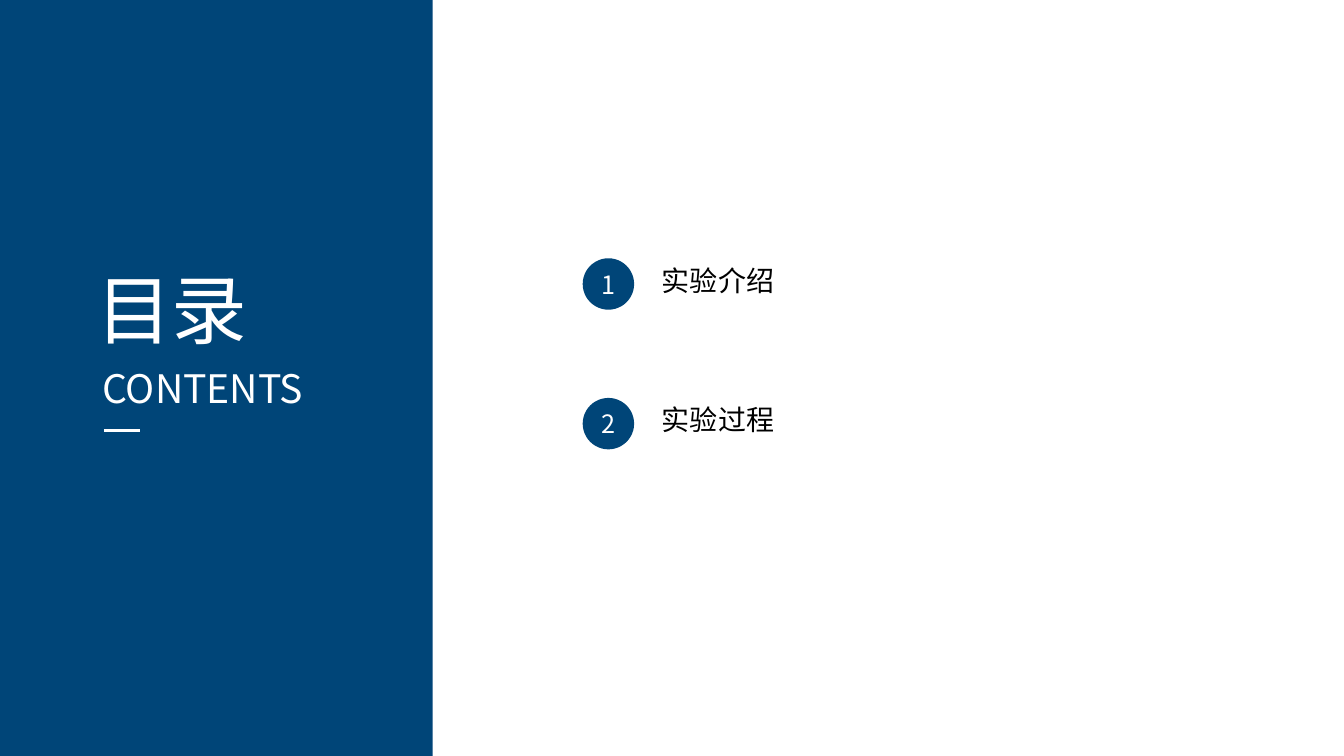
from lxml.etree import SubElement
from pptx import Presentation
from pptx.dml.color import RGBColor
from pptx.enum.shapes import MSO_CONNECTOR as Connector, MSO_SHAPE as Shape
from pptx.enum.text import MSO_ANCHOR as Anchor, MSO_AUTO_SIZE as AutoSize, PP_ALIGN as Align
from pptx.oxml.ns import qn
from pptx.util import Pt

PX = 9525
FONT = "Noto Sans CJK SC"
COLORS = {"navy": "004578", "white": "FFFFFF", "black": "000000"}


def write(box, text, size, color, align, anchor=Anchor.TOP, fit=AutoSize.SHAPE_TO_FIT_TEXT):
    frame = box.text_frame
    frame.word_wrap = True
    frame.auto_size = fit
    frame.vertical_anchor = anchor
    para = frame.paragraphs[0]
    para.alignment = align
    span = para.add_run()
    span.text = text
    span.font.size = Pt(size)
    span.font.color.rgb = RGBColor.from_string(COLORS[color])
    span.font.name = FONT
    SubElement(span.font._element, qn("a:ea"), typeface=FONT)


def add_filled(kind, left, top, width, height):
    shape = page.shapes.add_shape(kind, left * PX, top * PX, width * PX, height * PX)
    shape.shadow.inherit = False
    shape.fill.solid()
    shape.fill.fore_color.rgb = RGBColor.from_string(COLORS["navy"])
    shape.line.fill.background()
    return shape


deck = Presentation()
deck.slide_width = 1280 * PX
deck.slide_height = 720 * PX
page = deck.slides.add_slide(deck.slide_layouts[5])

panel = add_filled(Shape.RECTANGLE, 0, 0, 412, 720)
title = page.shapes.title
title.element.addprevious(panel.element)
title.left, title.top, title.width, title.height = 82 * PX, 246 * PX, 171 * PX, 97 * PX
write(title, "目录", 54, "white", Align.JUSTIFY)

subtitle = page.shapes.add_textbox(88 * PX, 342 * PX, 235 * PX, 55 * PX)
write(subtitle, "CONTENTS", 28, "white", Align.JUSTIFY)

dash = page.shapes.add_connector(Connector.STRAIGHT, 99 * PX, 410 * PX, 133 * PX, 410 * PX)
dash.line.color.rgb = RGBColor.from_string(COLORS["white"])
dash.line.width = Pt(2.25)
SubElement(dash.element.spPr, qn("a:effectLst"))

for index, (topic, width) in enumerate([("实验介绍", 228), ("实验过程", 432)]):
    top = 246 + index * 133
    badge = add_filled(Shape.OVAL, 555, top, 49, 49)
    write(badge, str(index + 1), 18, "white", Align.CENTER, Anchor.MIDDLE, AutoSize.NONE)
    label = page.shapes.add_textbox(621 * PX, top * PX, width * PX, 42 * PX)
    write(label, topic, 20, "black", Align.LEFT)

deck.save("out.pptx")
